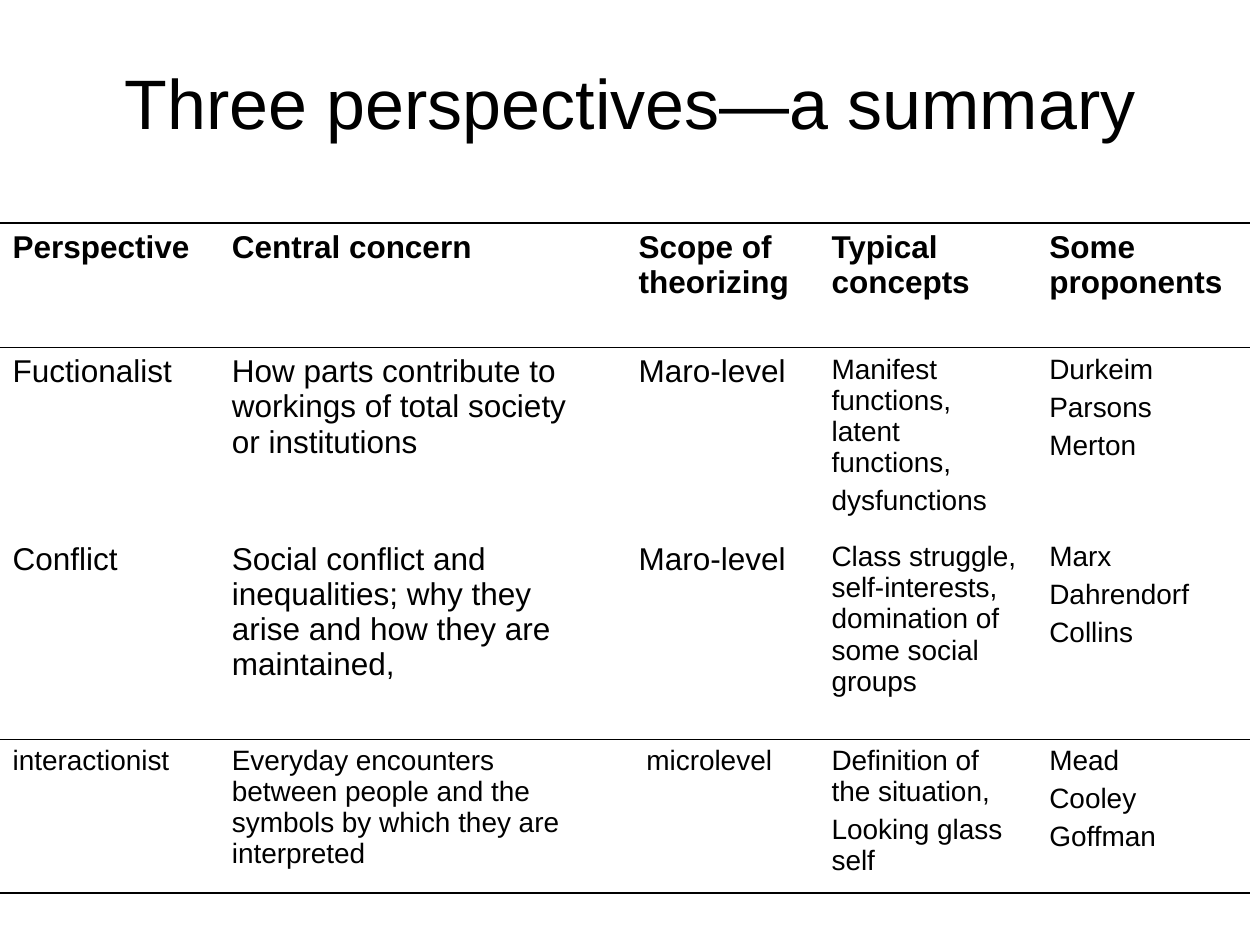
from lxml import etree
from pptx import Presentation
from pptx.dml.color import RGBColor
from pptx.enum.text import MSO_ANCHOR, PP_ALIGN
from pptx.oxml.ns import qn
from pptx.util import Cm, Pt

# Content: each cell is a list of paragraphs
TITLE = "Three perspectives—a summary"
ROWS = [
    [["Perspective"], ["Central concern"], [], ["Scope of theorizing"],
     ["Typical concepts"], ["Some proponents"]],
    [["Fuctionalist"],
     ["How parts contribute to workings of total society or institutions"],
     [], ["Maro-level"],
     ["Manifest functions, latent functions,", "dysfunctions"],
     ["Durkeim", "Parsons", "Merton"]],
    [["Conflict"],
     ["Social conflict and inequalities; why they arise and how they are maintained,"],
     [], ["Maro-level"],
     ["Class struggle, self-interests, domination of some social groups"],
     ["Marx", "Dahrendorf", "Collins"]],
    [["interactionist"],
     ["Everyday encounters between people and the symbols by which they are interpreted"],
     [], [" microlevel"],
     ["Definition of the situation,", "Looking glass self"],
     ["Mead", "Cooley", "Goffman"]],
]
COLUMN_WIDTHS = [4.42, 7.59, 0.61, 3.89, 4.39, 4.29]
ROW_HEIGHTS = [2.51, 3.53, 4.11, 3.02]

# Rule widths in points above and below each row; None leaves the edge open
THICK, THIN = 1.08, 0.45
ROW_RULES = [(THICK, THIN), (THIN, None), (None, THIN), (THIN, THICK)]

BLACK = RGBColor(0, 0, 0)
NO_STYLE = "{2D5ABB26-0587-4C30-8999-92F81FD0307C}"
FONT = {"name": "Arial", "bold": False}


def write(frame, lines, size, align=PP_ALIGN.LEFT, **changes):
    """Put one paragraph per line into a text frame."""
    frame.word_wrap = True
    for index, line in enumerate(lines):
        para = frame.add_paragraph() if index else frame.paragraphs[0]
        para.alignment = align
        if index:
            para.space_before = Pt(4)
        span = para.add_run()
        span.text = line
        for name, value in {**FONT, "size": Pt(size), **changes}.items():
            setattr(span.font, name, value)
        span.font.color.rgb = BLACK


def set_border(cell, side, width):
    """Draw one cell edge, or leave it open when width is None."""
    edge = etree.SubElement(cell._tc.get_or_add_tcPr(), qn(f"a:ln{side}"))
    if width is None:
        etree.SubElement(edge, qn("a:noFill"))
        return
    edge.set("w", str(Pt(width)))
    fill = etree.SubElement(edge, qn("a:solidFill"))
    etree.SubElement(fill, qn("a:srgbClr"), val=str(BLACK))


deck = Presentation()
deck.slide_width, deck.slide_height = Cm(25.4), Cm(19.05)
page = deck.slides.add_slide(deck.slide_layouts[6])

# Title
box = page.shapes.add_textbox(Cm(1.27), Cm(0.76), Cm(22.86), Cm(2.57))
box.text_frame.vertical_anchor = MSO_ANCHOR.MIDDLE
write(box.text_frame, [TITLE], 40, PP_ALIGN.CENTER)

# Table grid
table = page.shapes.add_table(
    len(ROWS), len(COLUMN_WIDTHS), Cm(0), Cm(4.5),
    Cm(sum(COLUMN_WIDTHS)), Cm(sum(ROW_HEIGHTS))).table
table.first_row = table.horz_banding = False
table._tbl.tblPr.find(qn("a:tableStyleId")).text = NO_STYLE
for column, width in zip(table.columns, COLUMN_WIDTHS):
    column.width = Cm(width)
for row, height in zip(table.rows, ROW_HEIGHTS):
    row.height = Cm(height)

# Table cells: the last row and the two body columns on the right are smaller
for r, (cells, (above, below)) in enumerate(zip(ROWS, ROW_RULES)):
    for c, lines in enumerate(cells):
        cell = table.cell(r, c)
        small = r == len(ROWS) - 1 or (r > 0 and c >= 4)
        write(cell.text_frame, lines, 16 if small else 18, bold=r == 0)
        for side, width in zip("LRTB", (None, None, above, below)):
            set_border(cell, side, width)
        cell.fill.background()

deck.save("out.pptx")
